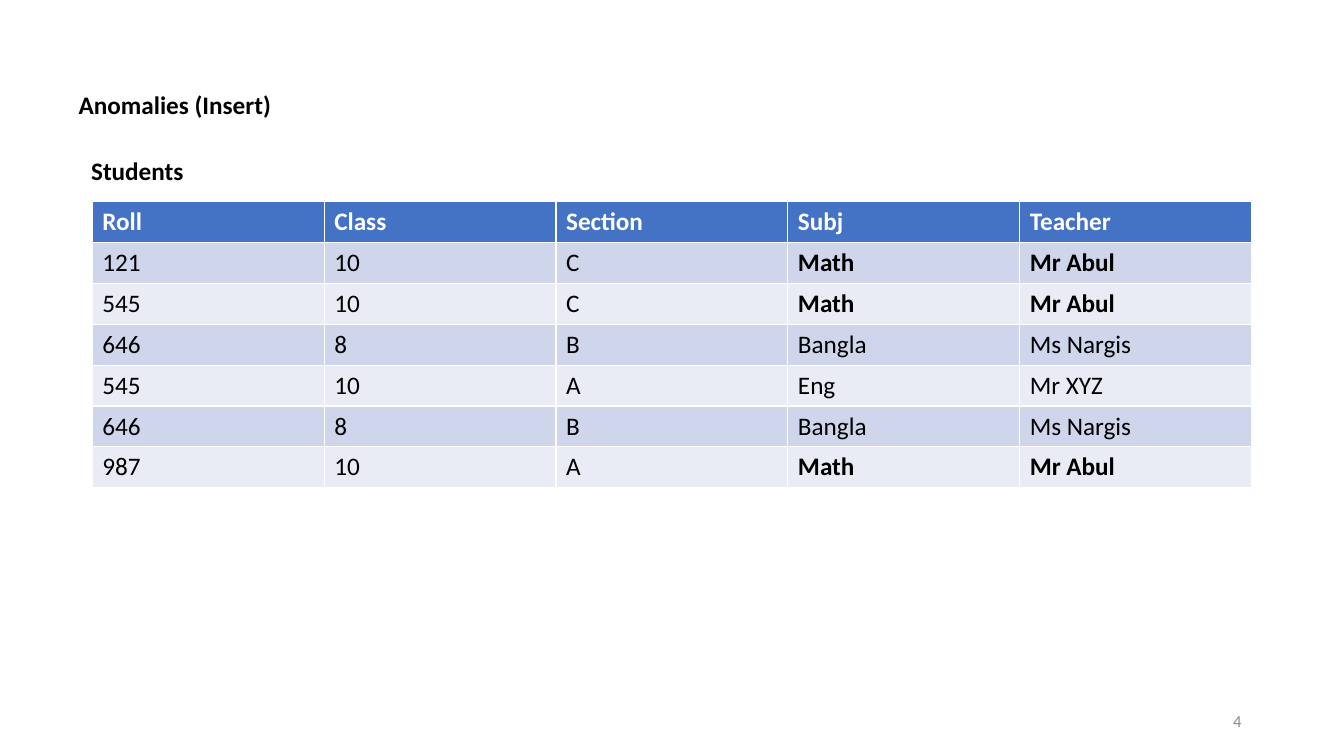
from pptx import Presentation
from pptx.dml.color import RGBColor
from pptx.enum.text import MSO_ANCHOR, MSO_AUTO_SIZE, PP_ALIGN
from pptx.util import Pt

LEFT, RIGHT = PP_ALIGN.LEFT, PP_ALIGN.RIGHT
TOP, MIDDLE = MSO_ANCHOR.TOP, MSO_ANCHOR.MIDDLE
NO_FIT = MSO_AUTO_SIZE.NONE
TITLE_ONLY = 5

WHITE = RGBColor(0xFF, 0xFF, 0xFF)
BLACK = RGBColor(0x00, 0x00, 0x00)
GREY = RGBColor(0x8C, 0x8C, 0x8C)
HEADER_BLUE = RGBColor(0x44, 0x72, 0xC4)
BANDS = (RGBColor(0xE9, 0xEB, 0xF5), RGBColor(0xCF, 0xD5, 0xEA))

HEADER = ("Roll", "Class", "Section", "Subj", "Teacher")
STUDENTS = (
    ("121", "10", "C", "Math", "Mr Abul"),
    ("545", "10", "C", "Math", "Mr Abul"),
    ("646", "8", "B", "Bangla", "Ms Nargis"),
    ("545", "10", "A", "Eng", "Mr XYZ"),
    ("646", "8", "B", "Bangla", "Ms Nargis"),
    ("987", "10", "A", "Math", "Mr Abul"),
)
ANOMALY = ("Math", "Mr Abul")


def write(tf, text, color=BLACK, size=18, bold=False, align=LEFT):
    p = tf.paragraphs[0]
    p.alignment = align
    r = p.add_run()
    r.text = text
    r.font.color.rgb = color
    for name, value in {"name": "Calibri", "size": Pt(size), "bold": bold}.items():
        setattr(r.font, name, value)


def place_text(sp, box, text, anchor=TOP, **style):
    """Fit a text box or placeholder to box and fill in its text."""
    sp.left, sp.top, sp.width, sp.height = map(Pt, box)
    tf = sp.text_frame
    for name, value in {"word_wrap": True, "auto_size": NO_FIT,
                        "vertical_anchor": anchor}.items():
        setattr(tf, name, value)
    write(tf, text, **style)


def add_label(s, box, text, **style):
    place_text(s.shapes.add_textbox(*map(Pt, box)), box, text, **style)


def add_student_table(s, box):
    """Draw the banded table, with the anomalous values in bold."""
    rows = (HEADER, *STUDENTS)
    table = s.shapes.add_table(len(rows), len(HEADER), *map(Pt, box)).table
    for column in table.columns:
        column.width = Pt(box[2] / len(HEADER))
    for i, values in enumerate(rows):
        is_header = i == 0
        table.rows[i].height = Pt(box[3] / len(rows))
        for j, value in enumerate(values):
            cell = table.cell(i, j)
            cell.fill.solid()
            cell.fill.fore_color.rgb = HEADER_BLUE if is_header else BANDS[i % 2]
            write(cell.text_frame, value, color=WHITE if is_header else BLACK,
                  bold=is_header or value in ANOMALY)


def add_anomaly_slide(prs):
    s = prs.slides.add_slide(prs.slide_layouts[TITLE_ONLY])
    place_text(s.shapes.title, (49, 60.5, 325.5, 29), "Anomalies (Insert)", bold=True)
    add_label(s, (58, 107.5, 325.5, 29), "Students", bold=True)
    add_student_table(s, (66, 144, 828, 204.4))
    add_label(s, (678, 500.5, 216, 28.75), "4", anchor=MIDDLE,
              color=GREY, size=12, align=RIGHT)


def main():
    prs = Presentation()
    prs.slide_width, prs.slide_height = Pt(960), Pt(540)
    add_anomaly_slide(prs)
    prs.save("out.pptx")


if __name__ == "__main__":
    main()
